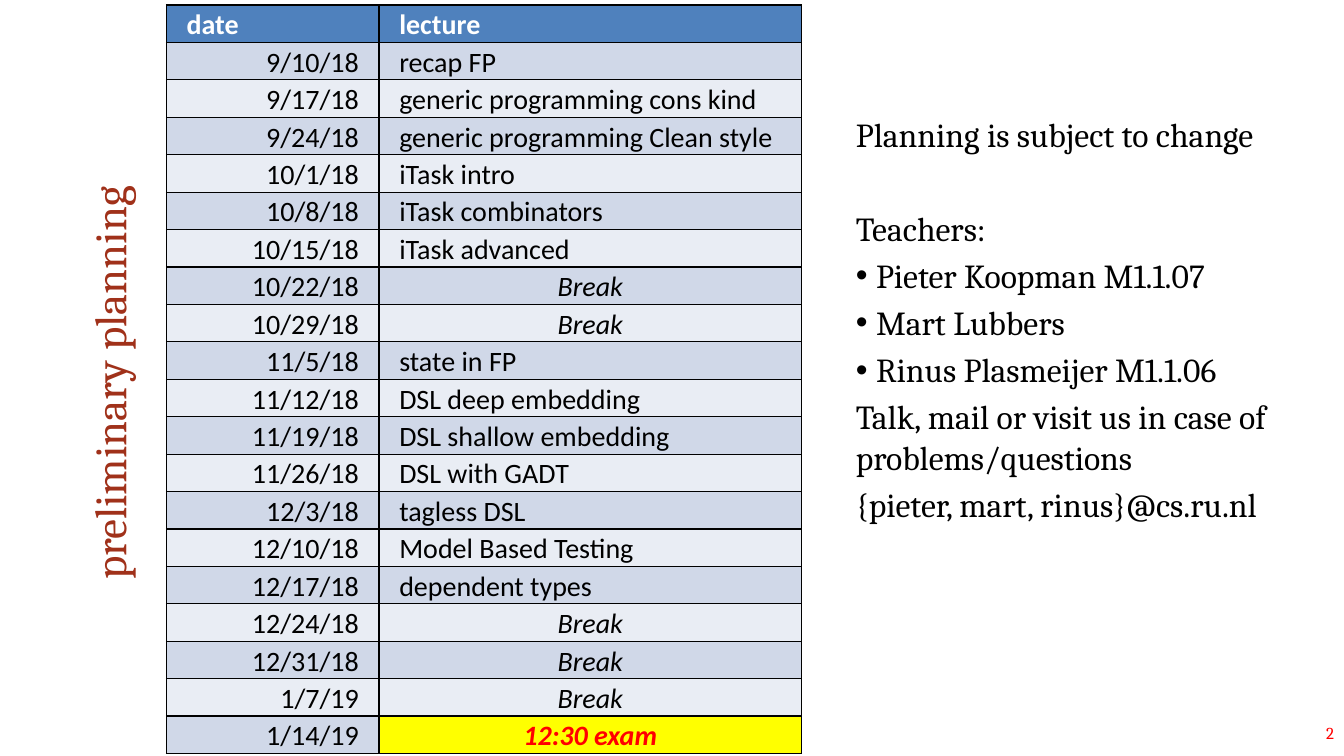
"""Builds the preliminary planning slide with the lecture table and teacher details."""
from lxml import etree
from pptx import Presentation
from pptx.dml.color import RGBColor
from pptx.enum.text import MSO_ANCHOR, PP_ALIGN
from pptx.oxml.ns import qn
from pptx.util import Inches, Pt

LEFT, CENTER, RIGHT = PP_ALIGN.LEFT, PP_ALIGN.CENTER, PP_ALIGN.RIGHT
MIDDLE, BOTTOM = MSO_ANCHOR.MIDDLE, MSO_ANCHOR.BOTTOM
BLACK = RGBColor(0x00, 0x00, 0x00)
WHITE = RGBColor(0xFF, 0xFF, 0xFF)
RED = RGBColor(0xFF, 0x00, 0x00)
YELLOW = RGBColor(0xFF, 0xFF, 0x00)
RUST = RGBColor(0xA0, 0x31, 0x1A)
HEADER_BLUE = RGBColor(0x4F, 0x81, 0xBD)
BANDS = [RGBColor(0xE9, 0xED, 0xF4), RGBColor(0xD0, 0xD8, 0xE8)]

LECTURES = [
    ("date", "lecture"),
    ("9/10/18", "recap FP"),
    ("9/17/18", "generic programming cons kind"),
    ("9/24/18", "generic programming Clean style"),
    ("10/1/18", "iTask intro"),
    ("10/8/18", "iTask combinators"),
    ("10/15/18", "iTask advanced"),
    ("10/22/18", "Break"),
    ("10/29/18", "Break"),
    ("11/5/18", "state in FP"),
    ("11/12/18", "DSL deep embedding"),
    ("11/19/18", "DSL shallow embedding"),
    ("11/26/18", "DSL with GADT"),
    ("12/3/18", "tagless DSL"),
    ("12/10/18", "Model Based Testing"),
    ("12/17/18", "dependent types"),
    ("12/24/18", "Break"),
    ("12/31/18", "Break"),
    ("1/7/19", "Break"),
    ("1/14/19", "12:30 exam"),
]
NOTES = [
    ("Planning is subject to change", False, 0),
    ("Teachers:", False, 38.6),
    ("Pieter Koopman M1.1.07", True, 4.8),
    ("Mart Lubbers", True, 4.8),
    ("Rinus Plasmeijer M1.1.06", True, 4.8),
    ("Talk, mail or visit us in case of problems/questions", False, 4.8),
    ("{pieter, mart, rinus}@cs.ru.nl", False, 4.8),
]


def format_font(paragraph, name, size, color, bold=False, italic=False):
    for run in paragraph.runs:
        run.font.name = name
        run.font.size = Pt(size)
        run.font.color.rgb = color
        run.font.bold = bold
        run.font.italic = italic


def add_borders(cell):
    properties = cell._tc.get_or_add_tcPr()
    for position, side in enumerate(("a:lnL", "a:lnR", "a:lnT", "a:lnB")):
        line = etree.Element(qn(side), w=str(Pt(1)))
        fill = etree.SubElement(line, qn("a:solidFill"))
        etree.SubElement(fill, qn("a:srgbClr"), val=str(BLACK))
        properties.insert(position, line)


presentation = Presentation()
presentation.slide_width = Inches(13.33)
presentation.slide_height = Inches(7.5)
slide = presentation.slides.add_slide(presentation.slide_layouts[5])

title = slide.shapes.title
title.left, title.top = Inches(-1.64), Inches(3.22)
title.width, title.height = Inches(5.43), Inches(1.16)
title.rotation = 270
title.text_frame.text = "preliminary planning"
title.text_frame.vertical_anchor = MIDDLE
title.text_frame.paragraphs[0].alignment = CENTER
format_font(title.text_frame.paragraphs[0], "Cambria", 32, RUST)

table = slide.shapes.add_table(
    len(LECTURES), 2, Inches(1.65), Inches(0.05), Inches(6.3), Inches(7.43)
).table
table.columns[0].width = Inches(2.11)
table.columns[1].width = Inches(4.19)
for row_index, lecture in enumerate(LECTURES):
    table.rows[row_index].height = Inches(7.43 / len(LECTURES))
    for column_index, text in enumerate(lecture):
        header = row_index == 0
        exam = text == "12:30 exam"
        special = exam or text == "Break"
        cell = table.cell(row_index, column_index)
        cell.text_frame.text = text
        cell.vertical_anchor = BOTTOM
        cell.margin_left = cell.margin_right = Inches(0.2)
        cell.margin_top = Inches(0 if header else 0.01)
        cell.margin_bottom = 0
        cell.fill.solid()
        cell.fill.fore_color.rgb = (
            HEADER_BLUE if header else YELLOW if exam else BANDS[row_index % 2]
        )
        add_borders(cell)
        paragraph = cell.text_frame.paragraphs[0]
        if special:
            paragraph.alignment = CENTER
        else:
            paragraph.alignment = RIGHT if column_index == 0 and not header else LEFT
        color = WHITE if header else RED if exam else BLACK
        format_font(paragraph, "Calibri", 20, color, header or exam, special)

page_number = slide.shapes.add_textbox(
    Inches(12.74), Inches(7.07), Inches(0.59), Inches(0.4)
)
page_number.text_frame.word_wrap = True
page_number.text_frame.vertical_anchor = MIDDLE
page_number.text_frame.text = "2"
page_number.text_frame.paragraphs[0].alignment = RIGHT
format_font(page_number.text_frame.paragraphs[0], "Cambria", 12, RED)

notes_box = slide.shapes.add_textbox(
    Inches(8.39), Inches(1.08), Inches(4.61), Inches(4.51)
)
notes_frame = notes_box.text_frame
notes_frame.word_wrap = True
for index, (text, bulleted, space_before) in enumerate(NOTES):
    paragraph = notes_frame.add_paragraph() if index else notes_frame.paragraphs[0]
    paragraph.text = text
    paragraph.space_before = Pt(space_before)
    if bulleted:
        properties = paragraph._p.get_or_add_pPr()
        properties.set("marL", str(Inches(0.2)))
        properties.set("indent", str(Inches(-0.2)))
        etree.SubElement(properties, qn("a:buFont"), typeface="Arial")
        etree.SubElement(properties, qn("a:buChar"), char="•")
    format_font(paragraph, "Cambria", 24, BLACK)

presentation.save("out.pptx")
